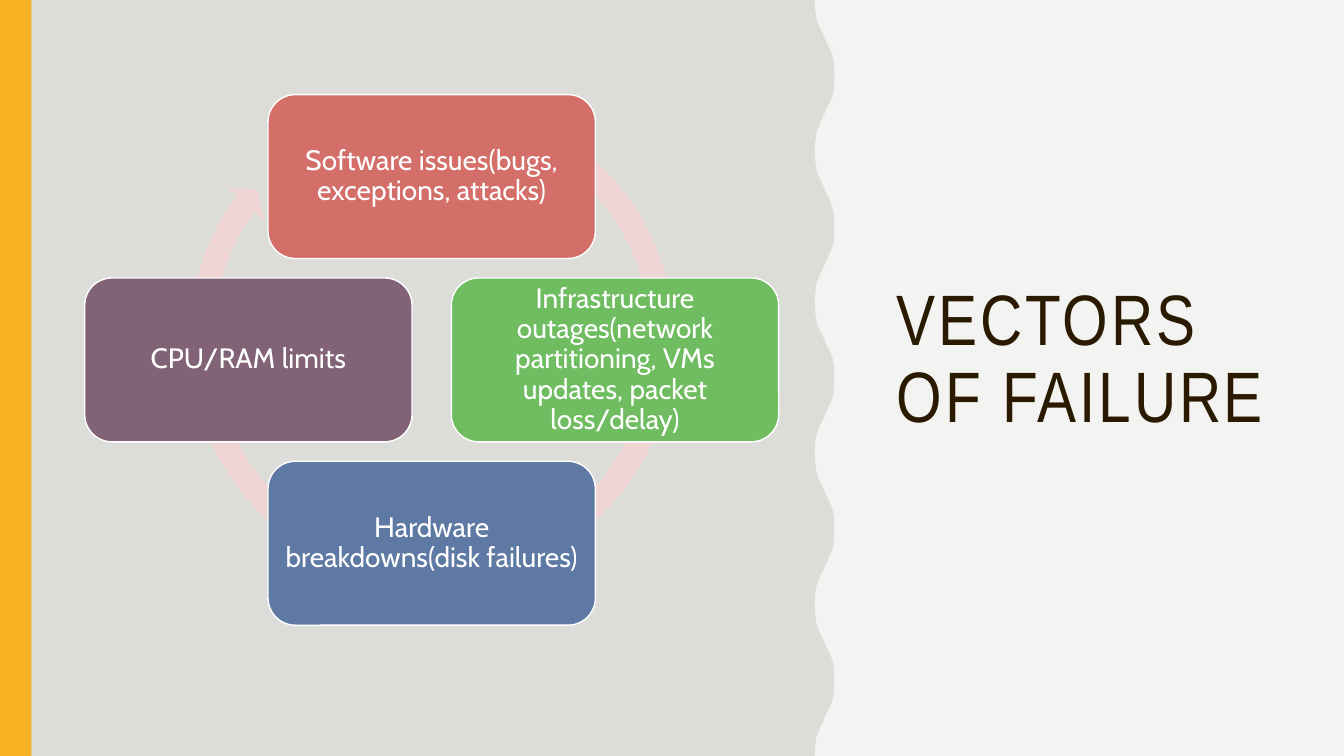
import math

import pptx
import pptx.dml.color
import pptx.enum.shapes
import pptx.enum.text
import pptx.util

Cm = pptx.util.Cm
Pt = pptx.util.Pt
SHAPE = pptx.enum.shapes.MSO_SHAPE
MIDDLE = pptx.enum.text.MSO_ANCHOR.MIDDLE
CENTER = pptx.enum.text.PP_ALIGN.CENTER

WIDTH, HEIGHT = 33.87, 19.05
WAVES, WAVE_DEPTH = 5, 0.5
# (outward, downward) offsets in cm from a trough of the wavy edge to its crest
HALF_WAVE = [(0, 0), (0.01, 0.18), (0.03, 0.36), (0.05, 0.5), (0.1, 0.62),
             (0.15, 0.74), (0.2, 0.84), (0.25, 0.95), (0.3, 1.07), (0.35, 1.17),
             (0.4, 1.28), (0.45, 1.4), (0.48, 1.55), (0.49, 1.73), (0.5, 1.9)]

# Clockwise from the top
VECTORS = [
    ("Software issues(bugs, exceptions, attacks)", "D36F68"),
    ("Infrastructure outages(network partitioning, VMs updates, packet loss/delay)", "70BD61"),
    ("Hardware breakdowns(disk failures)", "5E79A3"),
    ("CPU/RAM limits", "826276"),
]


def color(hex_string):
    return pptx.dml.color.RGBColor.from_string(hex_string)


def paint(s, fill, line=None):
    s.shadow.inherit = False
    s.fill.solid()
    s.fill.fore_color.rgb = color(fill)
    if line:
        s.line.color.rgb = color(line)
        s.line.width = Pt(1)
    else:
        s.line.fill.background()


def add_shape(slide, kind, x, y, w, h, fill, line=None):
    s = slide.shapes.add_shape(kind, Cm(x), Cm(y), Cm(w), Cm(h))
    paint(s, fill, line)
    return s


def write(s, text, size, font, hex_string):
    tf = s.text_frame
    tf.word_wrap = True
    tf.vertical_anchor = MIDDLE
    tf.text = text
    p = tf.paragraphs[0]
    p.line_spacing = 0.9
    r = p.runs[0]
    r.font.size = Pt(size)
    r.font.name = font
    r.font.color.rgb = color(hex_string)
    return tf


def add_wavy_panel(slide, x, y, w, h):
    """Draw a panel whose right edge waves between w - WAVE_DEPTH and w."""
    period = h / WAVES
    trough = x + w - WAVE_DEPTH
    wave = HALF_WAVE + [(dx, period - dy) for dx, dy in reversed(HALF_WAVE)]
    edge = [(trough + dx, y + i * period + dy) for i in range(WAVES) for dx, dy in wave]
    points = [(Cm(px), Cm(py)) for px, py in edge + [(x, y + h)]]
    builder = slide.shapes.build_freeform(Cm(x), Cm(y))
    builder.add_line_segments(points, close=True)
    paint(builder.convert_to_shape(), "DCDCD9")


def add_title(slide, x, y, w, h):
    s = slide.shapes.add_textbox(Cm(x), Cm(y), Cm(w), Cm(h))
    tf = write(s, "VECTORS OF FAILURE", 51, "Arial Narrow", "2A1A00")
    tf.paragraphs[0].runs[0].font._element.set("spc", "200")


def add_cycle(slide, x, y, w, h):
    """Place the four boxes around the middle of the given box, over a ring arrow."""
    box_w, box_h, radius, ring = 8.25, 4.13, 4.62, 12.9
    cx, cy = x + w / 2, y + h / 2
    arrow = add_shape(slide, SHAPE.CIRCULAR_ARROW, cx - ring / 2, cy - ring / 2 - 0.48,
                      ring, ring, "EFD5D4")
    for i, value in enumerate((0.04668, 2.729, 129.824, 179.287, 0.04847)):
        arrow.adjustments[i] = value
    for i, (text, fill) in enumerate(VECTORS):
        angle = math.radians(90 * i - 90)
        s = add_shape(slide, SHAPE.ROUNDED_RECTANGLE,
                      cx + radius * math.cos(angle) - box_w / 2,
                      cy + radius * math.sin(angle) - box_h / 2,
                      box_w, box_h, fill, "FFFFFF")
        tf = write(s, text, 20, "Cabin", "FFFFFF")
        tf.paragraphs[0].alignment = CENTER
        tf.margin_left = tf.margin_right = tf.margin_top = tf.margin_bottom = Cm(0.2)


def main():
    prs = pptx.Presentation()
    prs.slide_width, prs.slide_height = Cm(WIDTH), Cm(HEIGHT)
    slide = prs.slides.add_slide(prs.slide_layouts[6])
    slide.background.fill.solid()
    slide.background.fill.fore_color.rgb = color("F3F3F2")
    add_title(slide, 22.35, 1.35, 10.16, 15.47)
    add_wavy_panel(slide, 0, 0, 21.03, HEIGHT)
    add_shape(slide, SHAPE.RECTANGLE, 0, 0, 0.79, HEIGHT, "F8B323")
    add_cycle(slide, 2.13, 2.38, 17.5, 13.38)
    prs.save("out.pptx")


if __name__ == "__main__":
    main()
